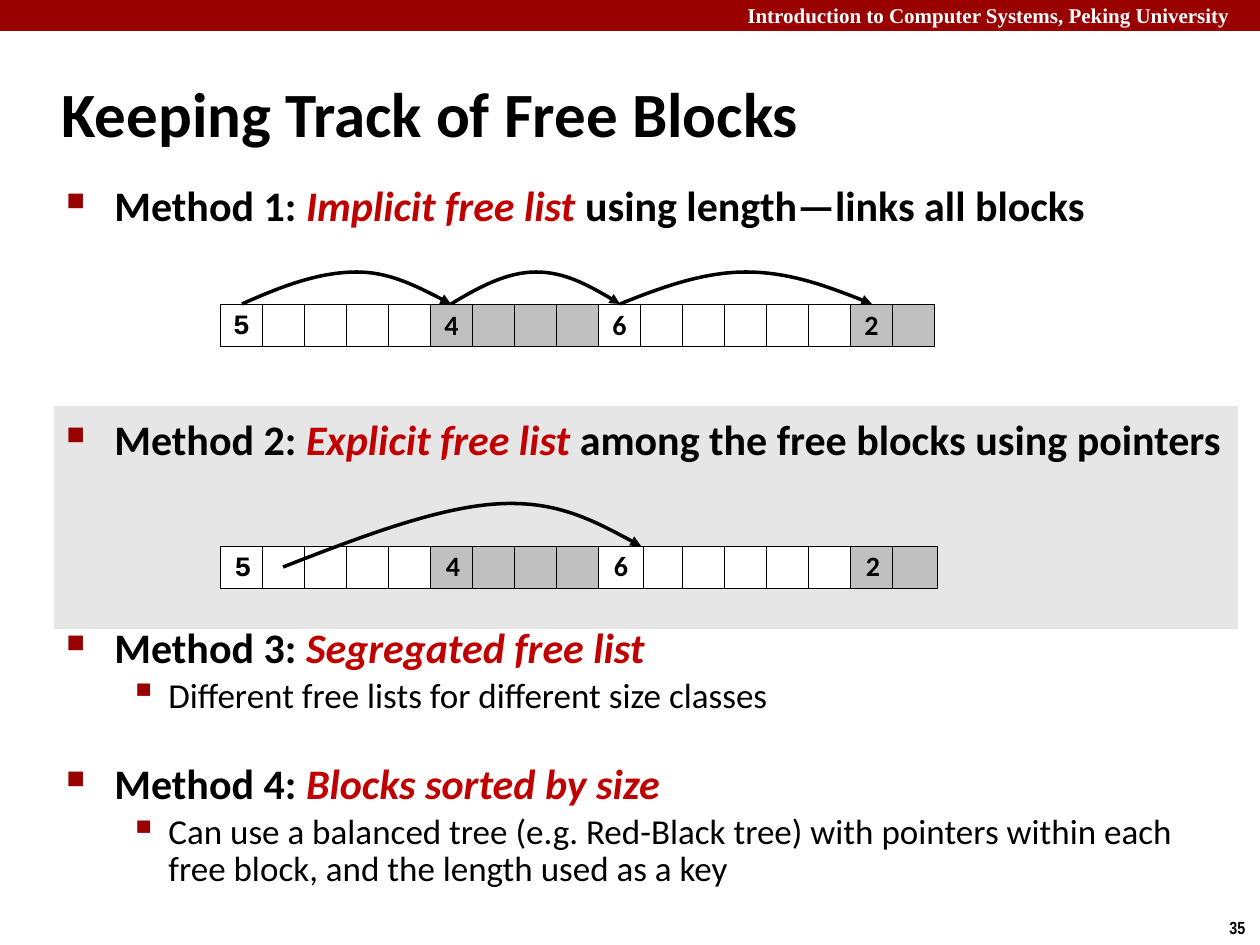
from dataclasses import dataclass

from lxml import etree
from pptx import Presentation
from pptx.dml.color import RGBColor
from pptx.enum.shapes import MSO_SHAPE
from pptx.enum.text import MSO_ANCHOR, PP_ALIGN
from pptx.oxml.ns import qn
from pptx.util import Emu, Pt

EMU_PER_PX = 914400 / 126
RECTANGLE = MSO_SHAPE.RECTANGLE
MIDDLE = MSO_ANCHOR.MIDDLE
LEFT, CENTER = PP_ALIGN.LEFT, PP_ALIGN.CENTER

BLACK, WHITE, GRAY, BAND = "000000", "FFFFFF", "C0C0C0", "E6E6E6"
DARK_RED, TERM_RED = "990000", "C00000"


@dataclass(frozen=True)
class Level:
    size: int
    bold: bool
    margin: int
    indent: int
    bullet: str
    bullet_percent: int


@dataclass(frozen=True)
class Item:
    level: Level
    lead: str
    term: str = ""
    rest: str = ""
    space_before: float = 0
    line_spacing: float = 1.0


@dataclass(frozen=True)
class Header:
    text: str
    font: str = "Calibri"
    line_spacing: float = 0.98


METHOD = Level(24, True, 48, -48, "■", 60)
DETAIL = Level(20, False, 102, -39, "▪", 110)
ITEMS = [
    Item(METHOD, "Method 1: ", "Implicit free list ", "using length—links all blocks"),
    Item(METHOD, "Method 2: ", "Explicit free list ",
         "among the free blocks using pointers", 105),
    Item(METHOD, "Method 3: ", "Segregated free list", "", 95, 0.83),
    Item(DETAIL, "Different free lists for different size classes",
         space_before=4, line_spacing=0.88),
    Item(METHOD, "Method 4: ", "Blocks sorted by size", "", 29, 0.83),
    Item(DETAIL, "Can use a balanced tree (e.g. Red-Black tree) with pointers within "
         "each free block, and the length used as a key", space_before=4, line_spacing=0.88),
]

# Heap of 17 words: header word index -> label
CELL_COUNT, CELL_LEFT, CELL_PITCH = 17, 220.5, 42
HEADERS = {0: Header("5", "Courier New", 0.94), 5: Header("4"),
           9: Header("6"), 15: Header("2")}
ALLOCATED = {5, 6, 7, 8, 15, 16}
TOP_CELL = 9


def px(length: float) -> Emu:
    return Emu(round(length * EMU_PER_PX))


def color(value: str) -> RGBColor:
    return RGBColor.from_string(value)


def format_font(font, value: str, **formats) -> None:
    font.color.rgb = color(value)
    for name, setting in formats.items():
        setattr(font, name, setting)


def add_rectangle(slide, left, top, width, height, fill: str, outline: str = ""):
    shape = slide.shapes.add_shape(RECTANGLE, px(left), px(top), px(width), px(height))
    shape.shadow.inherit = False
    shape.fill.solid()
    shape.fill.fore_color.rgb = color(fill)
    if outline:
        shape.line.color.rgb = color(outline)
        shape.line.width = Pt(0.25)
    else:
        shape.line.fill.background()
    return shape


def add_text(slide, left, top, width, height, text: str, value: str, wrap: bool, **formats):
    box = slide.shapes.add_textbox(px(left), px(top), px(width), px(height))
    box.text_frame.word_wrap = wrap
    run = box.text_frame.paragraphs[0].add_run()
    run.text = text
    format_font(run.font, value, **formats)


def add_bullet(paragraph, level: Level) -> None:
    properties = paragraph._p.get_or_add_pPr()
    properties.set("marL", str(px(level.margin)))
    properties.set("indent", str(px(level.indent)))
    bullet_color = etree.SubElement(properties, qn("a:buClr"))
    etree.SubElement(bullet_color, qn("a:srgbClr"), val=DARK_RED)
    etree.SubElement(properties, qn("a:buSzPct"), val=str(level.bullet_percent * 1000))
    etree.SubElement(properties, qn("a:buChar"), char=level.bullet)


def add_methods(slide, items: list[Item]) -> None:
    box = slide.shapes.add_textbox(px(54), px(173), px(1184), px(741))
    frame = box.text_frame
    frame.word_wrap = True
    for index, item in enumerate(items):
        paragraph = frame.add_paragraph() if index else frame.paragraphs[0]
        add_bullet(paragraph, item.level)
        paragraph.line_spacing = item.line_spacing
        paragraph.space_before = Pt(item.space_before)
        for text, is_term in ((item.lead, False), (item.term, True), (item.rest, False)):
            if text:
                run = paragraph.add_run()
                run.text = text
                format_font(run.font, TERM_RED if is_term else BLACK, name="Calibri",
                            size=Pt(item.level.size), bold=item.level.bold, italic=is_term)


def add_heap(slide, top: float, cell_width: int) -> None:
    # The cell of block 6 lies above its neighbours
    for index in sorted(range(CELL_COUNT), key=lambda cell: cell == TOP_CELL):
        fill = GRAY if index in ALLOCATED else WHITE
        cell = add_rectangle(slide, CELL_LEFT + index * CELL_PITCH, top,
                             cell_width, CELL_PITCH, fill, BLACK)
        if index in HEADERS:
            header = HEADERS[index]
            frame = cell.text_frame
            frame.word_wrap = False
            frame.vertical_anchor = MIDDLE
            paragraph = frame.paragraphs[0]
            paragraph.alignment = CENTER
            paragraph.line_spacing = header.line_spacing
            run = paragraph.add_run()
            run.text = header.text
            format_font(run.font, BLACK, name=header.font, size=Pt(16), bold=True)


def add_curve(slide, points: list[tuple[int, int]]) -> None:
    """Draw a cubic curve: a start, then two controls and an end per piece."""
    builder = slide.shapes.build_freeform(*points[0], scale=EMU_PER_PX)
    builder.add_line_segments(points[1:], close=False)
    shape = builder.convert_to_shape()
    shape.shadow.inherit = False
    shape.fill.background()
    shape.line.color.rgb = color(BLACK)
    shape.line.width = Pt(2)
    etree.SubElement(shape.line._get_or_add_ln(), qn("a:tailEnd"), type="triangle")
    path = next(shape._element.iter(qn("a:path")))
    segments = path.findall(qn("a:lnTo"))
    for first in range(0, len(segments), 3):
        cubic = etree.SubElement(path, qn("a:cubicBezTo"))
        for segment in segments[first:first + 3]:
            cubic.append(segment[0])
            path.remove(segment)


def arc_points(start: int, apex: int, end: int) -> list[tuple[int, int]]:
    rise = [start + (apex - start) * step // 3 for step in range(3)]
    fall = [apex + (end - apex) * step // 3 for step in range(4)]
    return list(zip(rise + fall, (304, 287, 272, 272, 272, 287, 304)))


def main() -> None:
    presentation = Presentation()
    presentation.slide_width, presentation.slide_height = px(1260), px(945)
    slide = presentation.slides.add_slide(presentation.slide_layouts[5])

    # Title
    title = slide.shapes.title
    title.left, title.top, title.width, title.height = px(49), px(60), px(1046), px(105)
    title.text_frame.vertical_anchor = MIDDLE
    paragraph = title.text_frame.paragraphs[0]
    paragraph.alignment = LEFT
    run = paragraph.add_run()
    run.text = "Keeping Track of Free Blocks"
    format_font(run.font, BLACK, name="Calibri", size=Pt(36), bold=True)

    # Header bar and slide number
    add_rectangle(slide, 0, 0, 1260, 31, DARK_RED)
    add_text(slide, 735, -4, 525, 38, "Introduction to Computer Systems, Peking University",
             WHITE, True, name="Times New Roman", size=Pt(12), bold=True)
    add_text(slide, 1217, 911, 43, 34, "35", BLACK, False,
             name="Arial Narrow", size=Pt(10), bold=True)

    # Highlight band and methods
    add_rectangle(slide, 54, 406, 1184, 223, BAND)
    add_methods(slide, ITEMS)

    # Implicit list: every block leads to the next
    add_heap(slide, 304.5, 42)
    for start, apex, end in ((242, 357, 451), (451, 536, 620), (620, 746, 872)):
        add_curve(slide, arc_points(start, apex, end))

    # Explicit list: free block to free block
    add_heap(slide, 546, 45)
    add_curve(slide, [(283, 567), (360, 537), (436, 508), (496, 504),
                      (556, 500), (598, 523), (641, 546)])

    presentation.save("out.pptx")


if __name__ == "__main__":
    main()
